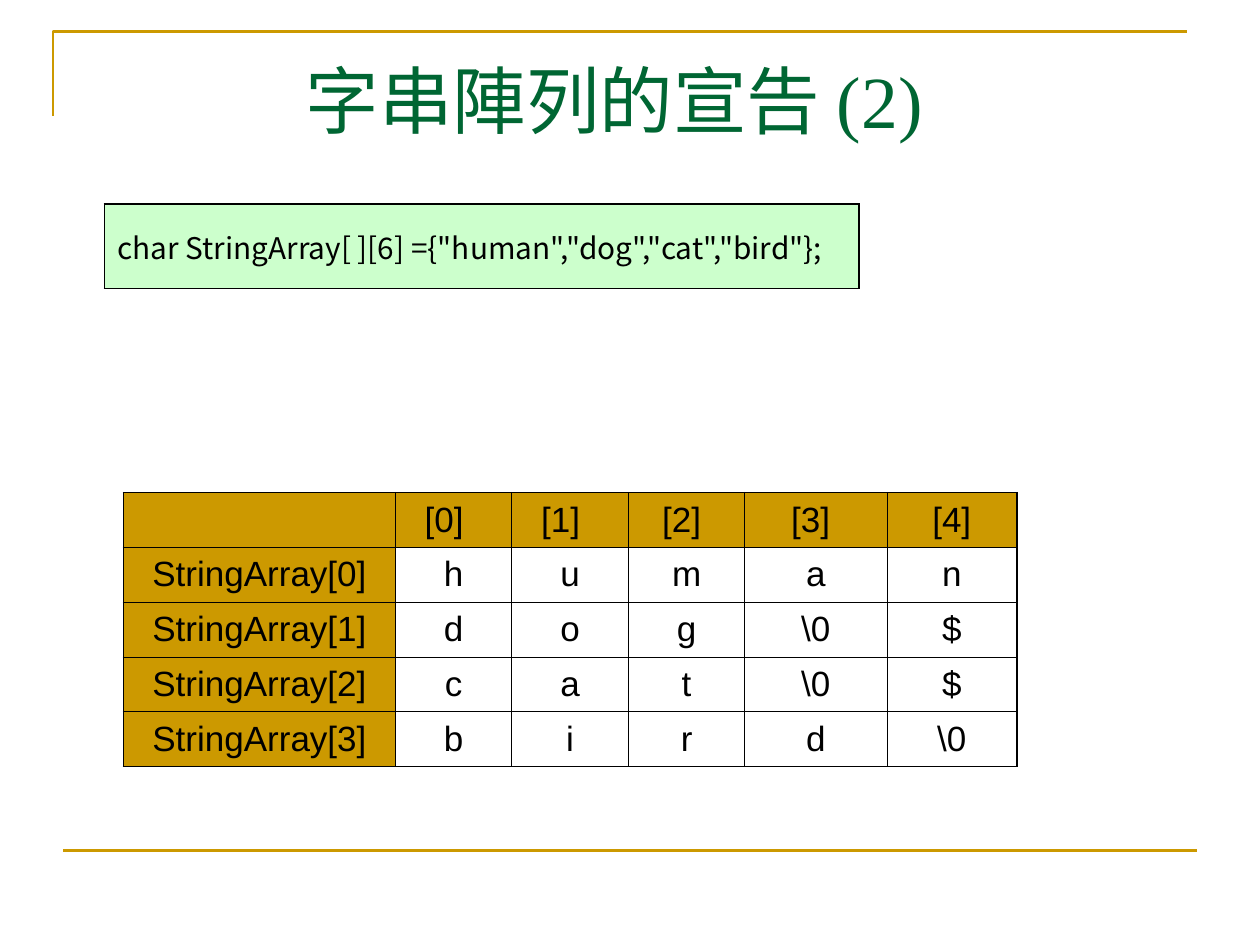
from lxml import etree
from pptx import Presentation
from pptx.dml.color import RGBColor
from pptx.enum.shapes import MSO_CONNECTOR
from pptx.enum.text import MSO_ANCHOR, PP_ALIGN
from pptx.oxml.ns import qn
from pptx.util import Inches, Pt

CENTER, LEFT = PP_ALIGN.CENTER, PP_ALIGN.LEFT
MIDDLE = MSO_ANCHOR.MIDDLE
STRAIGHT = MSO_CONNECTOR.STRAIGHT

GOLD, GREEN, MINT, BLACK = "CC9900", "006633", "CCFFCC", "000000"
THICK, THIN = 1.08, 0.45

TITLE = "字串陣列的宣告 (2)"
CODE = [['char StringArray[ ][6] ={"human","dog","cat","bird"};']]
ARRAY = [
    ["", "[0]", "[1]", "[2]", "[3]", "[4]"],
    ["StringArray[0]", "h", "u", "m", "a", "n"],
    ["StringArray[1]", "d", "o", "g", "\\0", "$"],
    ["StringArray[2]", "c", "a", "t", "\\0", "$"],
    ["StringArray[3]", "b", "i", "r", "d", "\\0"],
]
ARRAY_WIDTHS = [2.16, 0.92, 0.93, 0.92, 1.13, 1.03]
HEADER_RIGHT_MARGINS = [0.1, 0.25, 0.25, 0.18, 0.18, 0.1]


def color(value):
    return RGBColor.from_string(value)


def style_text(paragraph, font_name, size, value, align):
    paragraph.alignment = align
    paragraph.font.name = font_name
    paragraph.font.size = Pt(size)
    paragraph.font.color.rgb = color(value)


def style_line(shape):
    shape.line.color.rgb = color(GOLD)
    shape.line.width = Pt(1.5)


def set_borders(cell, widths):
    properties = cell._tc.get_or_add_tcPr()
    for side, width in zip("LRTB", widths):
        line = etree.SubElement(properties, qn(f"a:ln{side}"), w=str(Pt(width)))
        fill = etree.SubElement(line, qn("a:solidFill"))
        etree.SubElement(fill, qn("a:srgbClr"), val=BLACK)


def add_grid(slide, rows, left, top, widths, row_height):
    row_count, column_count = len(rows), len(widths)
    table = slide.shapes.add_table(
        row_count, column_count, Inches(left), Inches(top),
        Inches(sum(widths)), Inches(row_height * row_count)).table
    table.first_row = table.horz_banding = False
    for column, width in zip(table.columns, widths):
        column.width = Inches(width)
    for r, row in enumerate(rows):
        table.rows[r].height = Inches(row_height)
        for c, text in enumerate(row):
            cell = table.cell(r, c)
            cell.text = text
            cell.vertical_anchor = MIDDLE
            edges = (c == 0, c == column_count - 1, r == 0, r == row_count - 1)
            set_borders(cell, [THICK if edge else THIN for edge in edges])
    return table


def fill_cell(cell, value):
    cell.fill.solid()
    cell.fill.fore_color.rgb = color(value)


deck = Presentation()
deck.slide_width, deck.slide_height = Inches(10), Inches(7.5)
page = deck.slides.add_slide(deck.slide_layouts[5])

builder = page.shapes.build_freeform(Inches(0.42), Inches(0.92))
builder.add_line_segments(
    [(Inches(0.42), Inches(0.25)), (Inches(9.42), Inches(0.25))], close=False)
corner = builder.convert_to_shape()
corner.fill.background()
corner.shadow.inherit = False
style_line(corner)

footer_rule = page.shapes.add_connector(
    STRAIGHT, Inches(0.5), Inches(6.75), Inches(9.5), Inches(6.75))
style_line(footer_rule)
etree.SubElement(footer_rule._element.spPr, qn("a:effectLst"))

title = page.shapes.title
title.left, title.top = Inches(0.5), Inches(0.33)
title.width, title.height = Inches(8.75), Inches(0.92)
title.text_frame.text = TITLE
title.text_frame.vertical_anchor = MIDDLE
style_text(title.text_frame.paragraphs[0], "Times New Roman", 42, GREEN, CENTER)

code_cell = add_grid(page, CODE, 0.83, 1.62, [5.99], 0.67).cell(0, 0)
fill_cell(code_cell, MINT)
style_text(code_cell.text_frame.paragraphs[0], "Noto Sans CJK TC", 17, BLACK, LEFT)

array_table = add_grid(page, ARRAY, 0.98, 3.91, ARRAY_WIDTHS, 0.435)
for r, row in enumerate(ARRAY):
    for c in range(len(row)):
        cell = array_table.cell(r, c)
        if r == 0 or c == 0:
            fill_cell(cell, GOLD)
        else:
            cell.fill.background()
        style_text(cell.text_frame.paragraphs[0], "Arial", 20, BLACK, CENTER)
for c, margin in enumerate(HEADER_RIGHT_MARGINS):
    array_table.cell(0, c).margin_right = Inches(margin)

deck.save("out.pptx")
